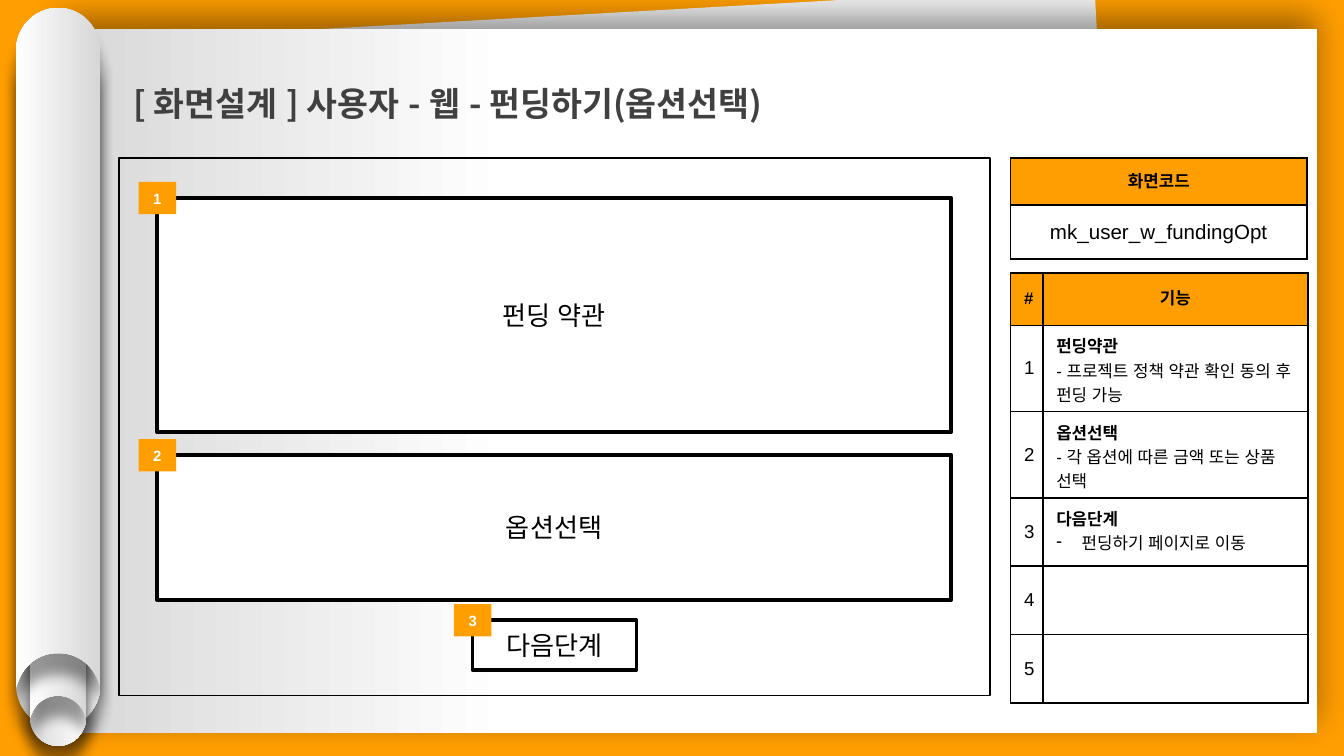
from lxml import etree
from pptx import Presentation
from pptx.dml.color import RGBColor
from pptx.enum.shapes import MSO_SHAPE
from pptx.enum.text import MSO_ANCHOR, PP_ALIGN
from pptx.oxml.ns import qn
from pptx.util import Cm, Pt

RECTANGLE = MSO_SHAPE.RECTANGLE
MIDDLE = MSO_ANCHOR.MIDDLE
LEFT, CENTER = PP_ALIGN.LEFT, PP_ALIGN.CENTER

ORANGE = RGBColor(0xFF, 0x9E, 0x00)
BLACK = RGBColor(0, 0, 0)
WHITE = RGBColor(0xFF, 0xFF, 0xFF)
PALE = RGBColor(0xF2, 0xF2, 0xF2)
SILVER = RGBColor(0xD7, 0xD7, 0xD7)
CHARCOAL = RGBColor(0x40, 0x40, 0x40)
BODY_FONT, TITLE_FONT = "Arial", "Noto Sans CJK KR"


def write(para, text, size=9, bold=False, color=BLACK, font=BODY_FONT, align=CENTER, spacing=None):
    para.alignment = align
    para.line_spacing = spacing
    span = para.add_run()
    span.text = text
    span.font.size = Pt(size)
    span.font.bold = bold
    span.font.color.rgb = color
    span.font.name = font
    etree.SubElement(span.font._element, qn("a:ea"), typeface=BODY_FONT)


def add_grid(left, top, widths, heights):
    table = page.shapes.add_table(
        len(heights), len(widths), Cm(left), Cm(top), Cm(sum(widths)), Cm(sum(heights))).table
    table.horz_banding = False
    for column, width in zip(table.columns, widths):
        column.width = Cm(width)
    for number, (row, height) in enumerate(zip(table.rows, heights)):
        row.height = Cm(height)
        for cell in row.cells:
            properties = cell._tc.get_or_add_tcPr()
            for side in ("a:lnL", "a:lnR", "a:lnT", "a:lnB"):
                border = etree.SubElement(properties, qn(side), w=str(Pt(1)))
                fill = etree.SubElement(border, qn("a:solidFill"))
                etree.SubElement(fill, qn("a:srgbClr"), val=str(BLACK))
            if number == 0:
                cell.fill.solid()
                cell.fill.fore_color.rgb = ORANGE
            else:
                cell.fill.background()
            cell.vertical_anchor = MIDDLE
    return table


deck = Presentation()
deck.slide_width, deck.slide_height = Cm(25.4), Cm(14.29)
page = deck.slides.add_slide(deck.slide_layouts[6])
page.background.fill.solid()
page.background.fill.fore_color.rgb = ORANGE

# Tilted back sheet
back = page.shapes.add_shape(RECTANGLE, Cm(1.73), Cm(0.26), Cm(19.33), Cm(12.95))
back.rotation = 356.8
back.shadow.inherit = False
back.fill.solid()
back.fill.fore_color.rgb = PALE
back.line.fill.background()

# Front sheet, then the rolled edge: round cap on top, round notch below
sheet = page.shapes.add_shape(RECTANGLE, Cm(1.09), Cm(0.54), Cm(23.8), Cm(13.31))
papers = [(sheet, (0.64, WHITE), (1, SILVER), 18, 6, 270)]
CURVE_STARTS = (0, 5, 8, 13)  # each curve takes three of the outline points
for left, top, width, height, turn in (
    (0.3, 0.91, 1.6, 12.85, 180),
    (0.56, 5.49, 1.07, 8.61, 180),
    (0.56, 4.98, 1.07, 8.61, 0),
    (0.3, 0.15, 1.6, 12.85, 0),
):
    foot = height / width
    outline = (
        (0.5, 0), (0.78, 0), (1, 0.23), (1, 0.52), (1, foot), (0.97, foot - 0.08),
        (0.89, foot - 0.29), (0.71, foot - 0.41), (0.5, foot - 0.41),
        (0.29, foot - 0.41), (0.11, foot - 0.29), (0.03, foot - 0.08),
        (0, foot), (0, 0.52), (0, 0.23), (0.22, 0), (0.5, 0),
    )
    points = [(Cm(left + x * width), Cm(top + y * width)) for x, y in outline]
    builder = page.shapes.build_freeform(*points[0])
    builder.add_line_segments(points[1:], close=True)
    roll = builder.convert_to_shape()
    roll.rotation = turn
    lines = list(roll._element.iter(qn("a:lnTo")))
    for start in CURVE_STARTS:
        curve, *rest = lines[start:start + 3]
        curve.tag = qn("a:cubicBezTo")
        for line in rest:
            curve.append(line[0])
            line.getparent().remove(line)
    papers.append((roll, (0, SILVER), (1, WHITE), 7, 11, 90))

# Gradient and shadow of the papers
for paper, first, last, blur, distance, direction in papers:
    paper.line.fill.background()
    paper.fill.gradient()
    paper.fill.gradient_angle = 180
    for stop, (position, color) in zip(paper.fill.gradient_stops, (first, last)):
        stop.position = position
        stop.color.rgb = color
    paper.shadow.inherit = False
    effects = paper._element.spPr.find(qn("a:effectLst"))
    shadow = etree.SubElement(
        effects, qn("a:outerShdw"), blurRad=str(Pt(blur)), dist=str(Pt(distance)),
        dir=str(direction * 60000), algn="ctr", rotWithShape="0")
    tint = etree.SubElement(shadow, qn("a:srgbClr"), val=str(BLACK))
    etree.SubElement(tint, qn("a:alpha"), val="40000")

# Title
title = page.shapes.add_textbox(Cm(2.34), Cm(1.09), Cm(18.31), Cm(1.35)).text_frame
title.word_wrap = True
title.margin_left = title.margin_right = Cm(0.18)
title.margin_top = title.margin_bottom = Cm(0.1)
write(title.paragraphs[0], "[ 화면설계 ] 사용자 - 웹 - 펀딩하기(옵션선택)",
      size=18, bold=True, color=CHARCOAL, font=TITLE_FONT, align=LEFT, spacing=1.5)

# Screen code table
codes = add_grid(19.1, 2.99, [5.6], [0.89, 1.02])
write(codes.cell(0, 0).text_frame.paragraphs[0], "화면코드", bold=True)
write(codes.cell(1, 0).text_frame.paragraphs[0], "mk_user_w_fundingOpt", size=11)

# Screen frame
frame = page.shapes.add_shape(RECTANGLE, Cm(2.25), Cm(2.99), Cm(16.46), Cm(10.16))
frame.shadow.inherit = False
frame.fill.background()
frame.line.color.rgb = BLACK
frame.line.width = Pt(0.75)

# Function table
features = (
    ("펀딩약관", "- 프로젝트 정책 약관 확인 동의 후 펀딩 가능", False),
    ("옵션선택", "- 각 옵션에 따른 금액 또는 상품 선택", False),
    ("다음단계", "펀딩하기 페이지로 이동", True),
)
functions = add_grid(19.1, 5.16, [0.59, 5.01], [0.99, 1.63, 1.63, 1.29, 1.29, 1.29])
for column, heading in enumerate(("#", "기능")):
    write(functions.cell(0, column).text_frame.paragraphs[0], heading, bold=True)
for number in range(1, 6):
    write(functions.cell(number, 0).text_frame.paragraphs[0], str(number), size=10)
for number, (name, detail, bulleted) in enumerate(features, 1):
    cell = functions.cell(number, 1)
    cell.vertical_anchor = MSO_ANCHOR.TOP
    write(cell.text_frame.paragraphs[0], name, bold=True, align=LEFT, spacing=Pt(13))
    para = cell.text_frame.add_paragraph()
    if bulleted:
        properties = para._p.get_or_add_pPr()
        properties.set("marL", str(Cm(0.48)))
        properties.set("indent", str(-Cm(0.48)))
        etree.SubElement(properties, qn("a:buChar"), char="-")
    write(para, detail, align=LEFT, spacing=Pt(13))

# Screen areas and their number badges
areas = (
    ("옵션선택", 2.97, 8.6, 15.01, 2.74),
    ("펀딩 약관", 2.97, 3.74, 15.01, 4.43),
    ("다음단계", 8.93, 11.72, 3.1, 0.94),
)
blocks = [(*area, WHITE, 14, BLACK) for area in areas]
by_height = sorted(areas, key=lambda area: area[2])
blocks += [(str(number), left - 0.35, top - 0.3, 0.71, 0.61, ORANGE, 8, WHITE)
           for number, (_, left, top, _, _) in enumerate(by_height, 1)]
for text, left, top, width, height, fill, size, color in blocks:
    box = page.shapes.add_shape(RECTANGLE, Cm(left), Cm(top), Cm(width), Cm(height))
    box.shadow.inherit = False
    box.fill.solid()
    box.fill.fore_color.rgb = fill
    if fill == WHITE:
        box.line.color.rgb = BLACK
        box.line.width = Pt(2)
    else:
        box.line.fill.background()
    body = box.text_frame
    body.vertical_anchor = MIDDLE
    body.margin_left = body.margin_right = Cm(0.18)
    body.margin_top = body.margin_bottom = Cm(0.1)
    write(body.paragraphs[0], text, size=size, bold=fill == ORANGE, color=color)

deck.save("out.pptx")
